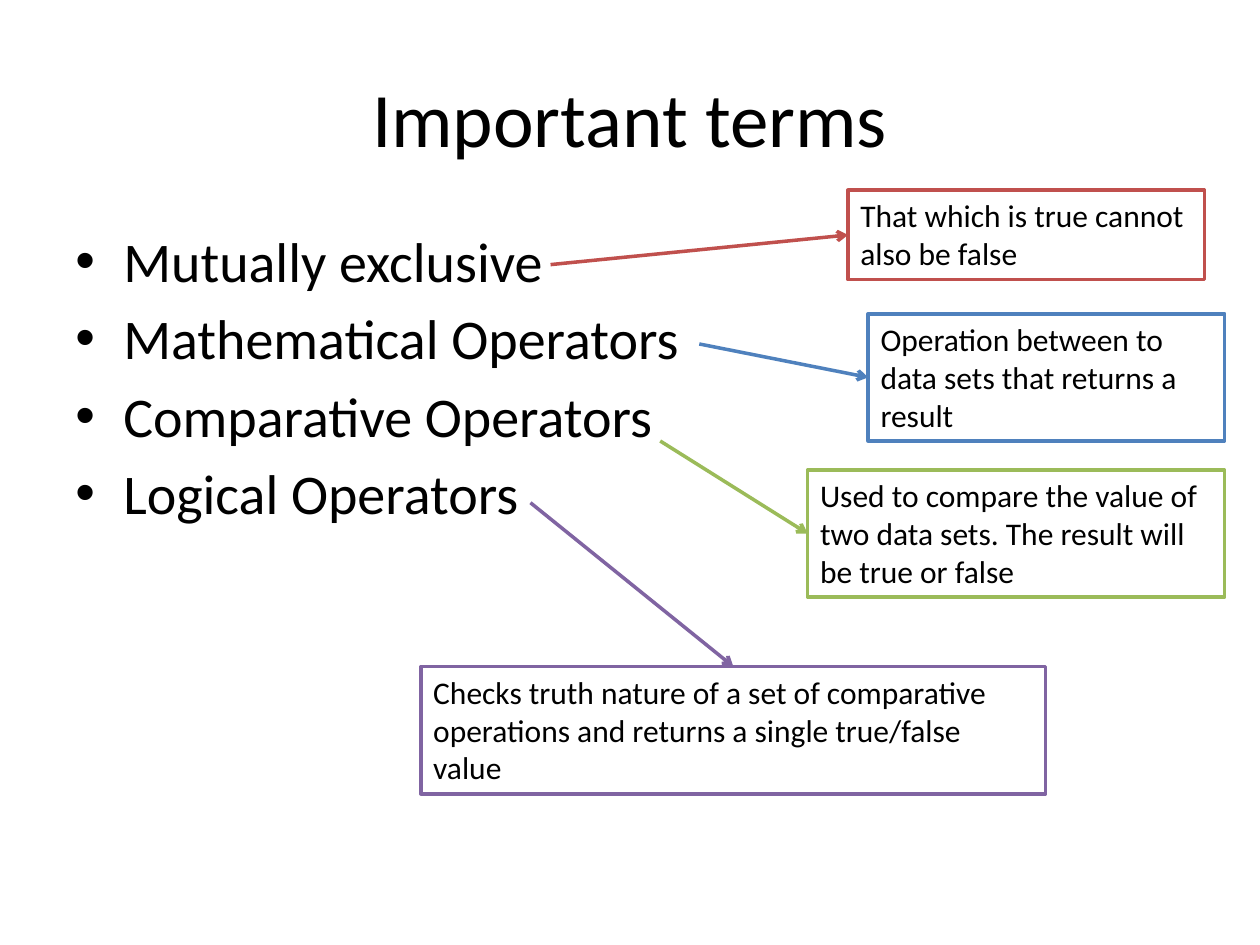
from dataclasses import dataclass

from lxml import etree
from pptx import Presentation
from pptx import util as u
from pptx.dml.color import RGBColor
from pptx.enum import shapes, text
from pptx.oxml import ns

COLOURS = {
    "ink": "000000",
    "paper": "FFFFFF",
    "red": "C0504D",
    "blue": "4F81BD",
    "green": "9BBB59",
    "purple": "8064A2",
}
COLUMNS, ROWS = 100, 75
TOP_SITE, LEFT_SITE = 0, 1

deck = Presentation()
deck.slide_width, deck.slide_height = u.Inches(10), u.Inches(7.5)
page = deck.slides.add_slide(deck.slide_layouts[6])


@dataclass(frozen=True)
class Area:
    column: float
    row: float
    columns: float
    rows: float

    def lengths(self) -> tuple[int, int, int, int]:
        return (across(self.column), down(self.row), across(self.columns), down(self.rows))


@dataclass(frozen=True)
class Definition:
    words: str
    colour: str
    area: Area
    start: tuple[float, float]
    site: int = LEFT_SITE


def across(columns: float) -> int:
    return round(deck.slide_width * columns / COLUMNS)


def down(rows: float) -> int:
    return round(deck.slide_height * rows / ROWS)


def colour(name: str) -> RGBColor:
    return RGBColor.from_string(COLOURS[name])


def write(box, words: str, *, size: float, align=text.PP_ALIGN.LEFT,
          anchor=text.MSO_ANCHOR.TOP, before: float = 0, bullet: str = "") -> None:
    frame = box.text_frame
    frame.word_wrap = True
    frame.vertical_anchor = anchor
    frame.text = words
    for para in frame.paragraphs:
        para.alignment = align
        para.space_before = u.Pt(before)
        para.font.name, para.font.size = "Calibri", u.Pt(size)
        para.font.color.rgb = colour("ink")
        for span in para.runs:
            span.font.name, span.font.size = "Calibri", u.Pt(size)
            span.font.color.rgb = colour("ink")
        if bullet:
            properties = para._p.get_or_add_pPr()
            indent = u.Inches(0.38)
            properties.set("marL", str(indent))
            properties.set("indent", str(-indent))
            face = etree.Element(ns.qn("a:buFont"), typeface="Arial")
            mark = etree.Element(ns.qn("a:buChar"), char=bullet)
            default = properties.find(ns.qn("a:defRPr"))
            default.addprevious(face)
            default.addprevious(mark)


def draw_definition(definition: Definition) -> None:
    group = page.shapes.add_group_shape()
    box = group.shapes.add_shape(shapes.MSO_SHAPE.RECTANGLE, *definition.area.lengths())
    box.shadow.inherit = False
    box.fill.solid()
    box.fill.fore_color.rgb = colour("paper")
    write(box, definition.words, size=18)
    box.text_frame.auto_size = text.MSO_AUTO_SIZE.SHAPE_TO_FIT_TEXT

    column, row = definition.start
    point = across(column), down(row)
    arrow = group.shapes.add_connector(shapes.MSO_CONNECTOR.STRAIGHT, *point, *point)
    arrow.end_connect(box, definition.site)
    for item in (box, arrow):
        item.line.color.rgb = colour(definition.colour)
        item.line.width = u.Pt(2)
    etree.SubElement(arrow.line._get_or_add_ln(), ns.qn("a:tailEnd"), type="arrow")
    etree.SubElement(arrow._element.spPr, ns.qn("a:effectLst"))


TERMS = ("Mutually exclusive", "Mathematical Operators",
         "Comparative Operators", "Logical Operators")
DEFINITIONS = (
    Definition("That which is true cannot also be false", "red",
               Area(67.3, 15.1, 28.3, 7.1), (43.7, 21)),
    Definition("Operation between to data sets that returns a result", "blue",
               Area(68.9, 24.9, 28.3, 10.1), (55.5, 27.3)),
    Definition("Used to compare the value of two data sets. The result will be true or false",
               "green", Area(64.1, 37.3, 33.1, 10.1), (52.4, 35)),
    Definition("Checks truth nature of a set of comparative operations and returns "
               "a single true/false value",
               "purple", Area(33.4, 52.9, 49.6, 10.1), (42.1, 39.9), TOP_SITE),
)

title = page.shapes.add_textbox(*Area(5, 3, 90, 12.5).lengths())
write(title, "Important terms", size=44, align=text.PP_ALIGN.CENTER,
      anchor=text.MSO_ANCHOR.MIDDLE)
term_list = page.shapes.add_textbox(*Area(5, 17.5, 52.9, 49.5).lengths())
write(term_list, "\n".join(TERMS), size=32, before=5.7, bullet="\u2022")
for entry in DEFINITIONS:
    draw_definition(entry)

deck.save("out.pptx")
